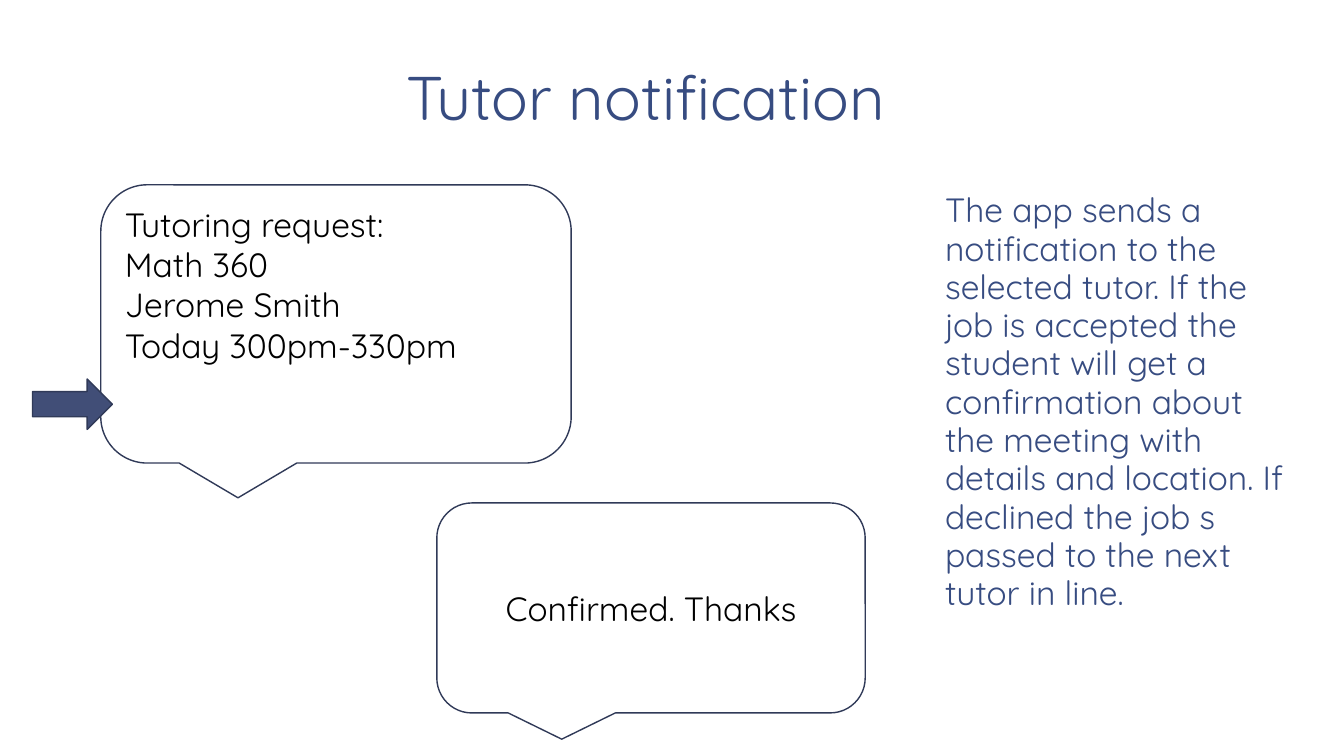
"""Builds the tutor notification slide."""
from dataclasses import dataclass

from pptx import Presentation
from pptx.dml.color import RGBColor
from pptx.enum.shapes import MSO_SHAPE
from pptx.enum.text import MSO_ANCHOR, PP_ALIGN
from pptx.util import Pt

PX = 9525
CALLOUT, ARROW = MSO_SHAPE.ROUNDED_RECTANGULAR_CALLOUT, MSO_SHAPE.RIGHT_ARROW
TOP, MIDDLE, BOTTOM = MSO_ANCHOR.TOP, MSO_ANCHOR.MIDDLE, MSO_ANCHOR.BOTTOM
LEFT, CENTER = PP_ALIGN.LEFT, PP_ALIGN.CENTER


@dataclass(frozen=True)
class Theme:
    """Holds the colours and type sizes."""
    face: str = "Quicksand"
    navy: str = "374C81"
    edge: str = "303A58"
    arrow: str = "414E77"
    paper: str = "FFFFFF"
    ink: str = "000000"
    head: int = 44
    body: int = 24


THEME = Theme()


def rgb(code):
    """Turns a hex code into a colour."""
    return RGBColor.from_string(code)


def scale(box):
    """Turns px lengths into EMU."""
    return [n * PX for n in box]


def apply(item, values):
    """Sets attributes from a dict."""
    for name, value in values.items():
        setattr(item, name, value)


def write(shape, lines, size, color, anchor, align, inset, lead=1.0):
    """Fills a shape with paragraphs of one style."""
    frame = shape.text_frame
    side, edge = scale(inset)
    apply(frame, {"word_wrap": True, "vertical_anchor": anchor,
                  "margin_left": side, "margin_right": side,
                  "margin_top": edge, "margin_bottom": edge})
    for i, line in enumerate(lines):
        para = frame.add_paragraph() if i else frame.paragraphs[0]
        apply(para, {"alignment": align, "line_spacing": lead})
        run = para.add_run()
        run.text = line
        apply(run.font, {"name": THEME.face, "size": Pt(size)})
        run.font.color.rgb = rgb(color)


def label(slide, box, text, size, anchor, lead):
    """Adds a navy text box."""
    shape = slide.shapes.add_textbox(*scale(box))
    write(shape, [text], size, THEME.navy, anchor, LEFT, (12, 7), lead)


def block(slide, kind, box, fill):
    """Adds an outlined preset shape."""
    shape = slide.shapes.add_shape(kind, *scale(box))
    shape.shadow.inherit = False
    shape.fill.solid()
    shape.fill.fore_color.rgb = rgb(fill)
    shape.line.color.rgb = rgb(THEME.edge)
    shape.line.width = Pt(1)
    return shape


def bubble(slide, box, lines, anchor, align):
    """Adds a speech bubble."""
    shape = block(slide, CALLOUT, box, THEME.paper)
    write(shape, lines, THEME.body, THEME.ink, anchor, align, (10, 5))


def main():
    """Builds and saves the slide."""
    deck = Presentation()
    apply(deck, {"slide_width": 1280 * PX, "slide_height": 720 * PX})
    slide = deck.slides.add_slide(deck.slide_layouts[6])
    label(slide, (375, 27, 555, 107), "Tutor notification",
          THEME.head, BOTTOM, 0.85)
    label(slide, (888, 176, 352, 510),
          "The app sends a notification to the selected tutor. If the job is "
          "accepted the student will get a confirmation about the meeting "
          "with details and location. If declined the job s passed to the "
          "next tutor in line.", THEME.body, TOP, 0.95)
    bubble(slide, (96, 176, 448, 265),
           ["Tutoring request:", "Math 360", "Jerome Smith",
            "Today 300pm-330pm"], TOP, LEFT)
    bubble(slide, (416, 479, 408, 200), ["Confirmed. Thanks"], MIDDLE, CENTER)
    block(slide, ARROW, (31, 361, 76, 48), THEME.arrow)
    deck.save("out.pptx")


if __name__ == "__main__":
    main()
